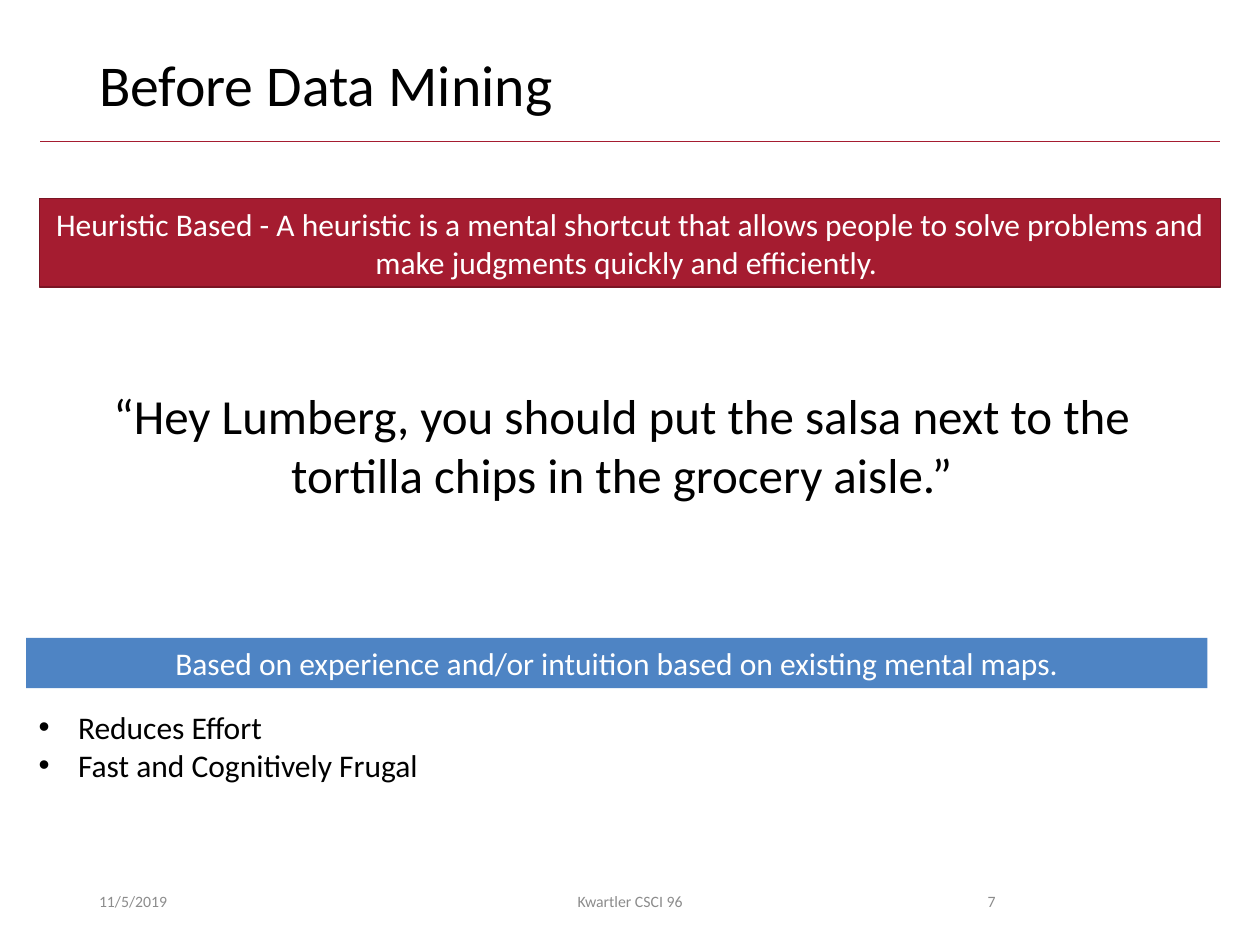
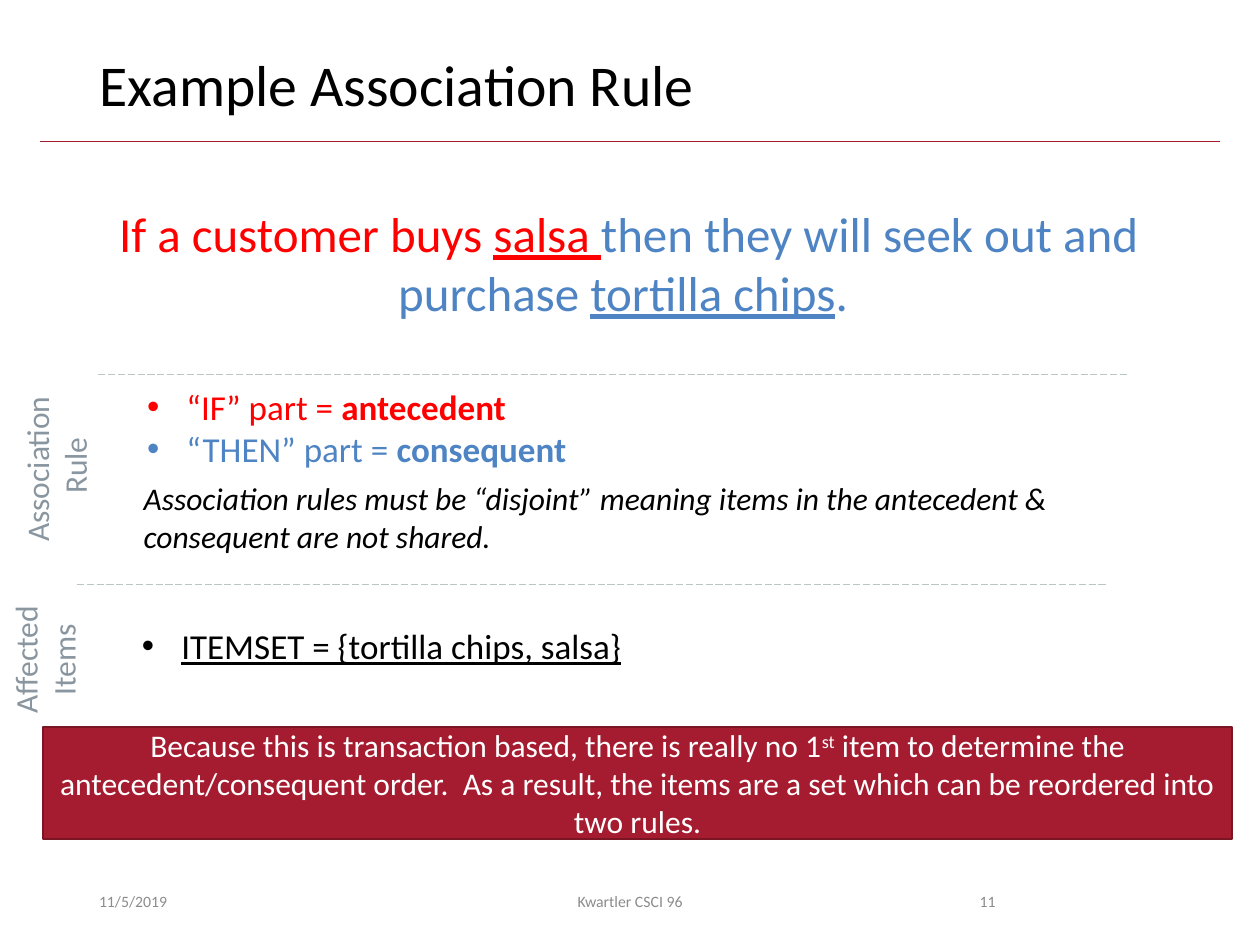
"""Build two slides on heuristics and association rules."""
from lxml import etree
from pptx import Presentation
from pptx import util as u
from pptx.dml.color import RGBColor
from pptx.enum import dml, shapes, text
from pptx.oxml.ns import qn

FONT = "Calibri"
BLACK, WHITE, GREY, SLATE, PALE = "000000", "FFFFFF", "8C8C8C", "8996A0", "BAC5C6"
CRIMSON, DARK_RED, RED, BLUE = "A51C30", "7A1524", "FF0000", "4E84C4"
LEFT, CENTER, RIGHT = text.PP_ALIGN.LEFT, text.PP_ALIGN.CENTER, text.PP_ALIGN.RIGHT
TOP, MIDDLE = text.MSO_ANCHOR.TOP, text.MSO_ANCHOR.MIDDLE

TITLE_BOX = (49.5, 28.8, 621, 46.8)
TITLE_RULE = (23, 697, 80.6)
FOOTER_TOP, FOOTER_HEIGHT = 500.5, 28.75
FOOTER = [(49.5, 162, LEFT), (238.5, 243, CENTER), (508.5, 67.5, RIGHT)]
DATE, COURSE = "11/5/2019", "Kwartler CSCI 96"
INDENT = 22.5

SLIDES = [
    {
        "title": "Before Data Mining",
        "number": "7",
        "bands": [
            {"box": (22.5, 113.5, 675, 50.7), "fill": CRIMSON, "line": DARK_RED,
             "paras": [[("Heuristic Based - A heuristic is a mental shortcut that allows people "
                         "to solve problems and make judgments quickly and efficiently. ", {})]]},
            {"box": (15, 364.5, 675, 28.8), "fill": BLUE, "line": None,
             "paras": [[("Based on experience and/or intuition based on existing mental maps.", {})]]},
        ],
        "texts": [
            {"box": (21.6, 216.7, 667.4, 75), "size": 28, "align": CENTER,
             "paras": [[("“Hey Lumberg, you should put the salsa next to the tortilla chips "
                         "in the grocery aisle.”", {})]]},
            {"box": (15, 401, 234, 51), "size": 18, "bullet": True, "wrap": False,
             "paras": [[("Reduces Effort", {})], [("Fast and Cognitively Frugal", {})]]},
        ],
        "dividers": [],
    },
    {
        "title": "Example Association Rule",
        "number": "11",
        "bands": [
            {"box": (24.5, 415.4, 679.7, 64), "fill": CRIMSON, "line": DARK_RED,
             "paras": [[("Because this is transaction based, there is really no 1", {}),
                        ("st", {"baseline": 30000}),
                        (" item to determine the antecedent/consequent order.  As a result, "
                         "the items are a set which can be reordered into two rules.", {})]]},
        ],
        "texts": [
            {"box": (18.7, 113, 681, 75), "size": 28, "align": CENTER,
             "paras": [[("If a customer buys ", {"color": RED}),
                        ("salsa ", {"color": RED, "underline": True}),
                        ("then they will seek out and purchase ", {"color": BLUE}),
                        ("tortilla chips", {"color": BLUE, "underline": True}),
                        (". ", {"color": BLUE})]]},
            {"box": (77, 216.7, 360, 55.7), "size": 20, "bullet": True,
             "paras": [[("“IF” part = ", {"color": RED}),
                        ("antecedent", {"color": RED, "bold": True})],
                       [("“THEN” part = ", {"color": BLUE}),
                        ("consequent", {"color": BLUE, "bold": True})]]},
            {"box": (74, 353.5, 293, 31.5), "size": 20, "bullet": True, "wrap": False,
             "paras": [[("ITEMSET = {tortilla chips, salsa}", {"underline": True})]]},
            {"box": (-17.3, 242.6, 98.6, 51), "size": 18, "align": CENTER, "wrap": False,
             "color": SLATE, "rotation": 270,
             "paras": [[("Association", {})], [(" Rule", {})]]},
            {"box": (-13, 351.4, 77, 51), "size": 18, "align": CENTER, "wrap": False,
             "color": SLATE, "rotation": 270,
             "paras": [[("Affected", {})], [("Items", {})]]},
            {"box": (75, 270, 615, 51), "size": 18,
             "paras": [[("Association rules must be “disjoint” meaning items in the antecedent "
                         "& consequent are not shared.", {"italic": True})]]},
        ],
        "dividers": [(56.2, 645, 213.8), (44, 633, 334)],
    },
]


def rgb(value):
    """Turn a hex string into a colour."""
    return RGBColor.from_string(value)


def place(sp, box):
    """Set the left, top, width and height of a shape in points."""
    for name, value in zip(("left", "top", "width", "height"), box):
        setattr(sp, name, u.Pt(value))


def add_bullet(p):
    """Give a paragraph a round bullet and a hanging indent."""
    pPr = p._p.get_or_add_pPr()
    pPr.set("marL", str(u.Pt(INDENT)))
    pPr.set("indent", str(-u.Pt(INDENT)))
    etree.SubElement(pPr, qn("a:buFont")).set("typeface", "Arial")
    etree.SubElement(pPr, qn("a:buChar")).set("char", "•")


def write(sp, paras, size, color=BLACK, align=LEFT, anchor=TOP, bullet=False,
          wrap=True, grow=False, spacing=None):
    """Fill a shape with paragraphs of formatted runs."""
    tf = sp.text_frame
    tf.word_wrap, tf.vertical_anchor = wrap, anchor
    tf.auto_size = text.MSO_AUTO_SIZE.SHAPE_TO_FIT_TEXT if grow else text.MSO_AUTO_SIZE.NONE
    for i, runs in enumerate(paras):
        p = tf.add_paragraph() if i else tf.paragraphs[0]
        p.alignment = align
        if spacing:
            p.line_spacing = spacing
        if bullet:
            add_bullet(p)
        for words, changes in runs:
            r = p.add_run()
            r.text = words
            style = {"name": FONT, "size": u.Pt(size), "color": color, **changes}
            r.font.color.rgb = rgb(style.pop("color"))
            if "baseline" in style:
                r._r.get_or_add_rPr().set("baseline", str(style.pop("baseline")))
            for name, value in style.items():
                setattr(r.font, name, value)


def add_text(s, box, paras, size, rotation=0, **style):
    """Add a text box."""
    sp = s.shapes.add_textbox(*map(u.Pt, box))
    sp.rotation = rotation
    write(sp, paras, size, **style)
    place(sp, box)


def add_band(s, box, fill, line, paras):
    """Add a filled band with centred white text."""
    sp = s.shapes.add_shape(shapes.MSO_SHAPE.RECTANGLE, *map(u.Pt, box))
    sp.shadow.inherit = False
    sp.fill.solid()
    sp.fill.fore_color.rgb = rgb(fill)
    if line:
        sp.line.color.rgb = rgb(line)
        sp.line.width = u.Pt(1)
    else:
        sp.line.fill.background()
    write(sp, paras, 18, WHITE, CENTER, MIDDLE)


def add_rule(s, left, right, y, color, dash=None):
    """Add a thin horizontal line."""
    ends = (left, y, right, y)
    sp = s.shapes.add_connector(shapes.MSO_CONNECTOR.STRAIGHT, *map(u.Pt, ends))
    sp.line.color.rgb = rgb(color)
    sp.line.width = u.Pt(0.5)
    if dash:
        sp.line.dash_style = dash
    etree.SubElement(sp._element.spPr, qn("a:effectLst"))


def add_frame(s, title, number):
    """Add the title, the rule under it and the footer."""
    add_rule(s, *TITLE_RULE, CRIMSON)
    place(s.shapes.title, TITLE_BOX)
    write(s.shapes.title, [[(title, {})]], 33, spacing=0.9)
    for (left, width, align), words in zip(FOOTER, (DATE, COURSE, number)):
        add_text(s, (left, FOOTER_TOP, width, FOOTER_HEIGHT), [[(words, {})]], 9,
                 color=GREY, align=align, anchor=MIDDLE)


def main():
    """Build and save the presentation."""
    prs = Presentation()
    prs.slide_width, prs.slide_height = u.Pt(720), u.Pt(540)
    for content in SLIDES:
        s = prs.slides.add_slide(prs.slide_layouts[5])
        add_frame(s, content["title"], content["number"])
        for band in content["bands"]:
            add_band(s, **band)
        for block in content["texts"]:
            add_text(s, grow=True, **block)
        for divider in content["dividers"]:
            add_rule(s, *divider, PALE, dml.MSO_LINE.LONG_DASH)
    prs.save("out.pptx")


if __name__ == "__main__":
    main()
